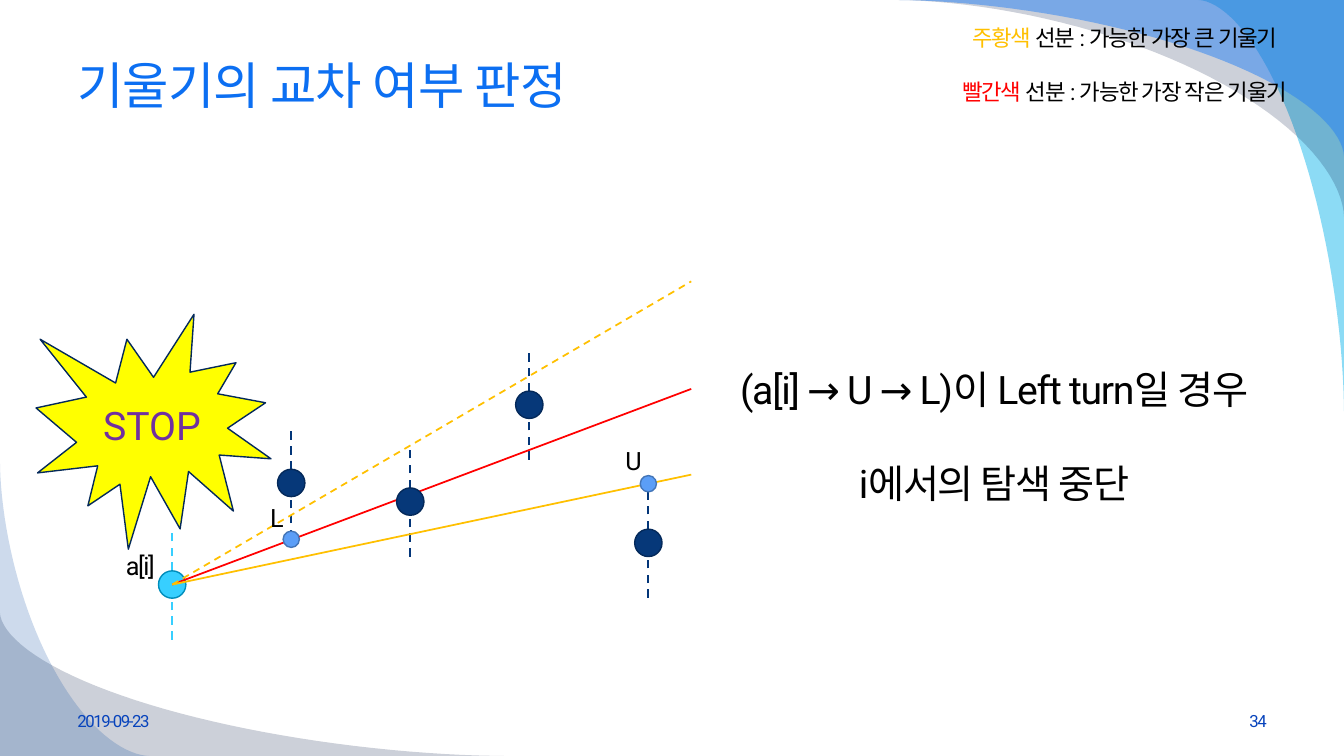
"""Build the slide on testing whether slope ranges still intersect."""
from math import cos, pi, sin

from lxml import etree
from pptx import Presentation
from pptx.dml.color import RGBColor
from pptx.enum.dml import MSO_LINE
from pptx.enum.shapes import MSO_CONNECTOR, MSO_SHAPE
from pptx.enum.text import MSO_ANCHOR, MSO_AUTO_SIZE, PP_ALIGN
from pptx.oxml.ns import qn
from pptx.util import Cm, Pt

LEFT, CENTER, RIGHT = PP_ALIGN.LEFT, PP_ALIGN.CENTER, PP_ALIGN.RIGHT
MIDDLE = MSO_ANCHOR.MIDDLE
NO_AUTOSIZE = MSO_AUTO_SIZE.NONE
DASH, SOLID = MSO_LINE.DASH, MSO_LINE.SOLID
STRAIGHT = MSO_CONNECTOR.STRAIGHT
OVAL, BURST = MSO_SHAPE.OVAL, MSO_SHAPE.EXPLOSION1
FONT = "Roboto"
BLACK, ORANGE, RED, YELLOW, PURPLE = "000000", "FFC000", "FF0000", "FFFF00", "7030A0"
NAVY, NAVY_EDGE, NAVY_LINE = "063879", "04295A", "033679"
CYAN, CYAN_EDGE = "37CFFF", "008DBB"
BLUE, BLUE_EDGE = "5B9EF7", "4375B7"
TITLE_BLUE, FOOTER_BLUE = "0C6FF2", "0743BC"
WAVE_CYAN, WAVE_NAVY, WAVE_BLUE, WAVE_INDIGO = "00B1E9", "021741", "247FF4", "084AA1"
SLIDE_WIDTH, SLIDE_HEIGHT = 33.87, 19.05
color = RGBColor.from_string

presentation = Presentation()
presentation.slide_width, presentation.slide_height = Cm(SLIDE_WIDTH), Cm(SLIDE_HEIGHT)
slide = presentation.slides.add_slide(presentation.slide_layouts[5])
shapes = slide.shapes


def add_line(start, end, line_color, width, dash):
    connector = shapes.add_connector(STRAIGHT, *map(Cm, start + end))
    connector.line.color.rgb = color(line_color)
    connector.line.width = Pt(width)
    connector.line.dash_style = dash
    etree.SubElement(connector._element.spPr, qn("a:effectLst"))


def add_filled(preset, center, size, fill, edge):
    left, top = center[0] - size / 2, center[1] - size / 2
    shape = shapes.add_shape(preset, Cm(left), Cm(top), Cm(size), Cm(size))
    shape.shadow.inherit = False
    shape.fill.solid()
    shape.fill.fore_color.rgb = color(fill)
    shape.line.color.rgb = color(edge)
    shape.line.width = Pt(1)
    return shape


# Each wave fills a slide corner up to a superellipse arc; signed reaches point inwards.
WAVE_EXPONENT, WAVE_STEPS = 1.75, 40
TOP_RIGHT, BOTTOM_LEFT = (SLIDE_WIDTH, 0), (0, SLIDE_HEIGHT)
waves = [
    (TOP_RIGHT, -3.67, 10.36, WAVE_CYAN, 45),
    (TOP_RIGHT, -11.29, 5.46, WAVE_NAVY, 20),
    (TOP_RIGHT, -11.29, 3.94, WAVE_BLUE, 49),
    (BOTTOM_LEFT, 12.7, -3.61, WAVE_NAVY, 20),
    (BOTTOM_LEFT, 3.76, -7.42, WAVE_INDIGO, 20),
]
for (corner_x, corner_y), reach_x, reach_y, fill, opacity in waves:
    arc = []
    for step in range(WAVE_STEPS + 1):
        angle = pi / 2 * step / WAVE_STEPS
        x = corner_x + reach_x * (1 - sin(angle) ** (2 / WAVE_EXPONENT))
        y = corner_y + reach_y * (1 - cos(angle) ** (2 / WAVE_EXPONENT))
        arc.append((Cm(x), Cm(y)))
    builder = shapes.build_freeform(Cm(corner_x), Cm(corner_y))
    builder.add_line_segments(arc)
    wave = builder.convert_to_shape()
    wave.shadow.inherit = False
    wave.fill.solid()
    wave.fill.fore_color.rgb = color(fill)
    wave.line.fill.background()
    fill_color = wave._element.spPr.find(f"{qn('a:solidFill')}/{qn('a:srgbClr')}")
    etree.SubElement(fill_color, qn("a:alpha"), val=str(opacity * 1000))

DOT, SMALL_DOT, WHISKER = 0.69, 0.41, 1.04
FIRST_COLUMN, COLUMN_STEP, RAY_END = 4.34, 3, 17.42
dot_heights = [14.73, 12.17, 12.64, 10.2, 13.68]
dots = [(FIRST_COLUMN + COLUMN_STEP * column, y) for column, y in enumerate(dot_heights)]
origin, *data_dots = dots
lower_bound, upper_bound = (data_dots[0][0], 13.59), (data_dots[-1][0], 12.19)

for x, y in dots:
    whisker_color = CYAN if (x, y) == origin else NAVY_LINE
    for bottom in (y - DOT / 2, y + DOT / 2 + WHISKER):
        add_line((x, bottom), (x, bottom - WHISKER), whisker_color, 1.5, DASH)

add_filled(OVAL, origin, DOT, CYAN, CYAN_EDGE)
for end_y, ray_color, dash in [(9.8, RED, SOLID), (7.09, ORANGE, DASH), (11.96, ORANGE, SOLID)]:
    add_line(origin, (RAY_END, end_y), ray_color, 1.25, dash)
for center in data_dots:
    add_filled(OVAL, center, DOT, NAVY, NAVY_EDGE)
for center in (lower_bound, upper_bound):
    add_filled(OVAL, center, SMALL_DOT, BLUE, BLUE_EDGE)
burst = add_filled(BURST, (3.87, 10.88), 5.92, YELLOW, NAVY_EDGE)

title = shapes.title
title.left, title.top, title.width, title.height = map(Cm, (1.7, 0.84, 30.48, 2.57))
date, number, conclusion, legend = [
    shapes.add_textbox(*map(Cm, place)) for place in [
        (1.7, 17.65, 7.9, 1.02),
        (24.28, 17.65, 7.9, 1.02),
        (17.93, 3.76, 14.25, 13.26),
        (22.81, 0, 11.07, 2.57),
    ]]
label_upper, label_lower, label_origin = [
    shapes.add_textbox(Cm(x - 0.5), Cm(y - 0.5), Cm(1), Cm(1))
    for x, y in [(15.97, 11.61), (6.98, 13.03), (3.54, 14.25)]]

texts = [
    (title, LEFT, 36, 1, -0.7, [[("기울기의 교차 여부 판정", TITLE_BLUE)]]),
    (burst, CENTER, 28, 1, 0, [[("STOP", PURPLE)]]),
    (date, LEFT, 12, 1, -1, [[("2019-09-23", FOOTER_BLUE)]]),
    (number, RIGHT, 12, 1, -1, [[("34", FOOTER_BLUE)]]),
    (conclusion, CENTER, 28, 2, -0.9, [
        [("(a[i] → U → L)이 Left turn일 경우", BLACK)],
        [("i에서의 탐색 중단", BLACK)]]),
    (label_upper, CENTER, 18, 1, -1, [[("U", BLACK)]]),
    (label_lower, CENTER, 18, 1, -1, [[("L", BLACK)]]),
    (label_origin, CENTER, 18, 1, -1, [[("a[i]", BLACK)]]),
    (legend, CENTER, 16, 2, -0.85, [
        [("주황색", ORANGE), (" 선분 : 가능한 가장 큰 기울기", BLACK)],
        [("빨간색", RED), (" 선분 : 가능한 가장 작은 기울기", BLACK)]]),
]
for shape, alignment, size, line_spacing, letter_spacing, paragraphs in texts:
    frame = shape.text_frame
    frame.auto_size = NO_AUTOSIZE
    frame.word_wrap = shape.width > Cm(2)
    frame.vertical_anchor = MIDDLE
    for index, runs in enumerate(paragraphs):
        paragraph = frame.add_paragraph() if index else frame.paragraphs[0]
        paragraph.alignment = alignment
        paragraph.line_spacing = float(line_spacing)
        for text, text_color in runs:
            run = paragraph.add_run()
            run.text = text
            run.font.name = FONT
            run.font.size = Pt(size)
            run.font.color.rgb = color(text_color)
            properties = run.font._element
            properties.set("spc", str(round(letter_spacing * 100)))
            etree.SubElement(properties, qn("a:ea"), typeface=FONT)

presentation.save("out.pptx")
